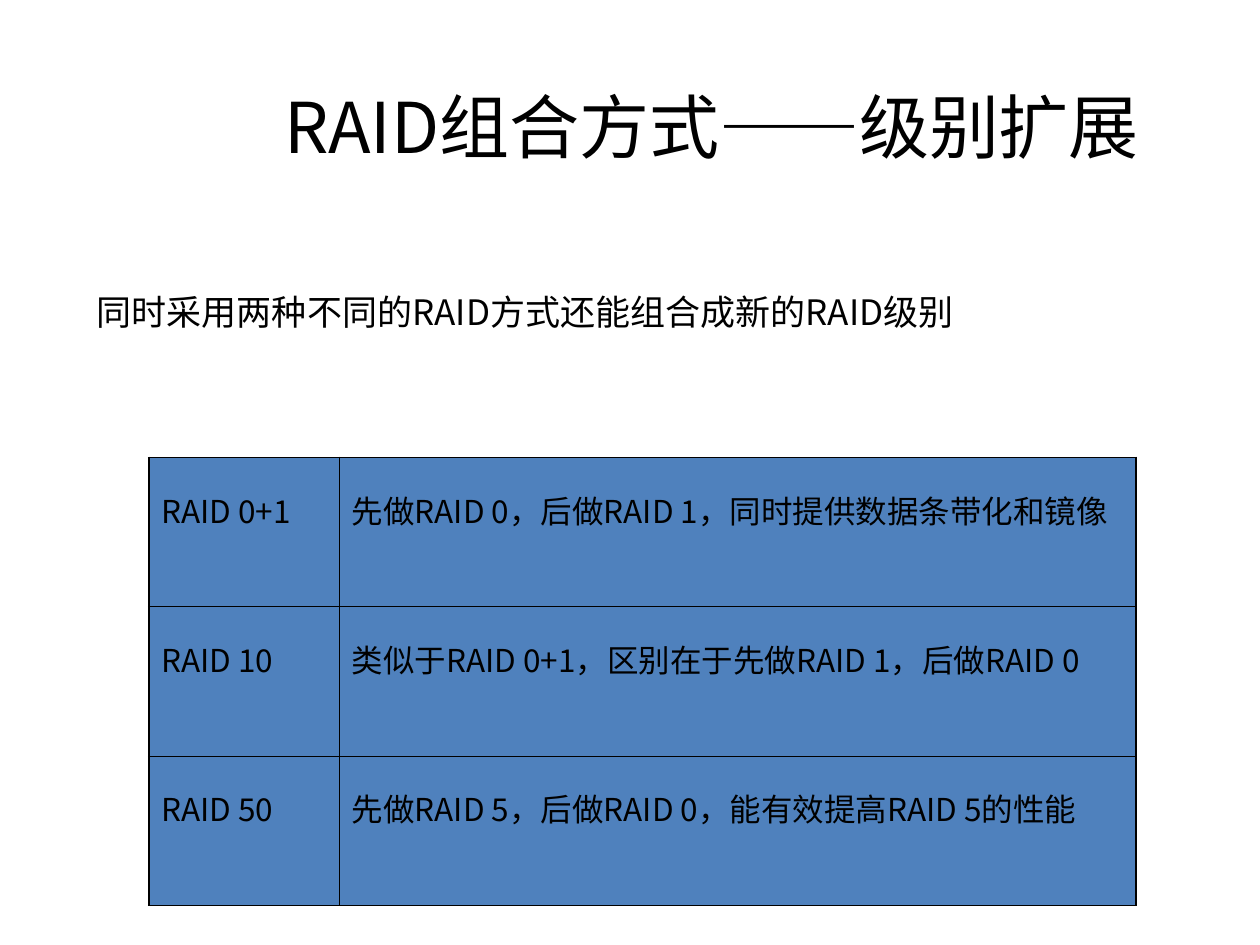
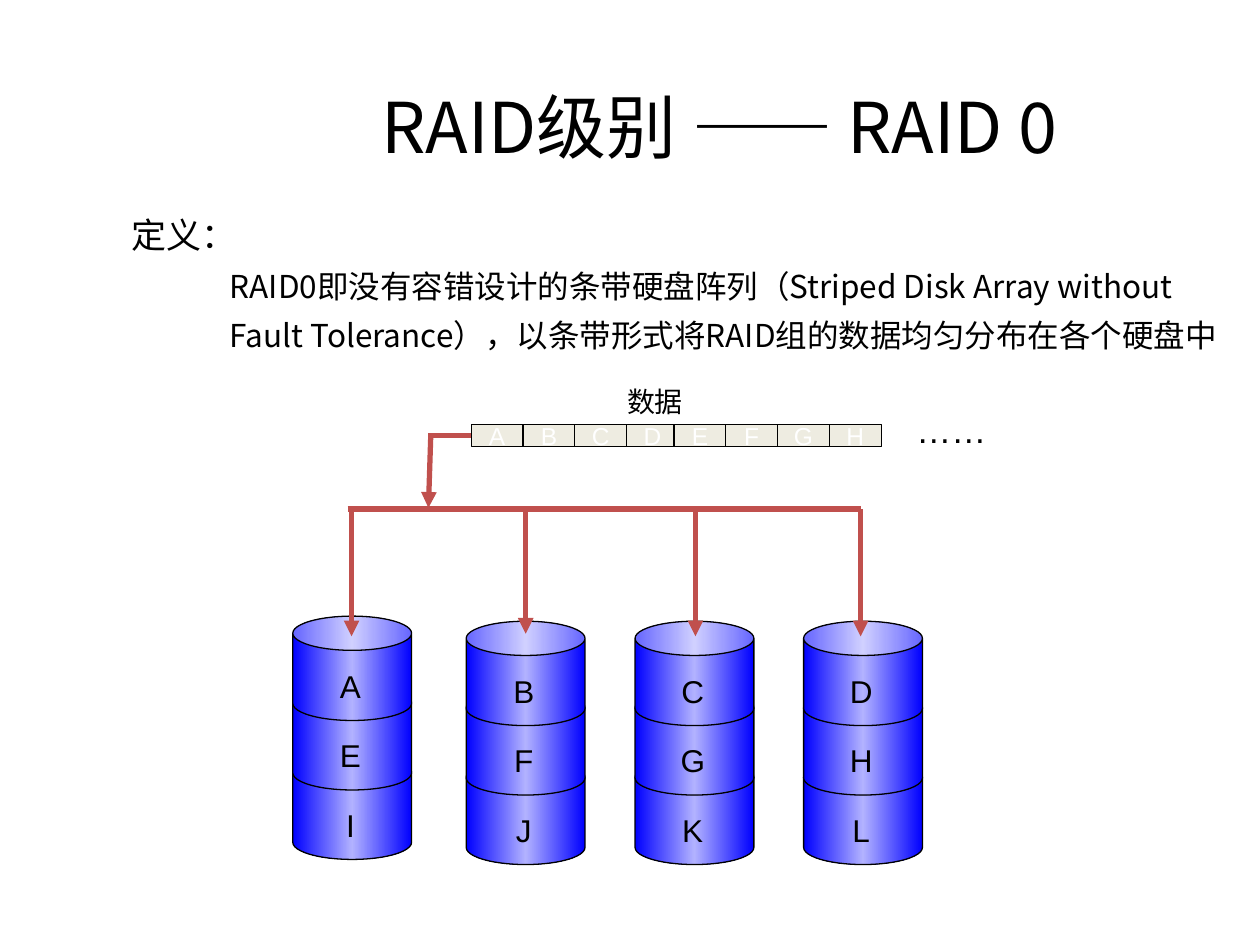
import copy
from dataclasses import dataclass

import pptx
import pptx.util
import pptx.dml.color
import pptx.enum.shapes
import pptx.enum.text
import pptx.oxml
import pptx.oxml.ns
import pptx.oxml.xmlchemy

Pt = pptx.util.Pt
qn = pptx.oxml.ns.qn
new_element = pptx.oxml.xmlchemy.OxmlElement
SHAPE = pptx.enum.shapes.MSO_SHAPE
ALIGN = pptx.enum.text.PP_ALIGN
ANCHOR = pptx.enum.text.MSO_ANCHOR
FIT = pptx.enum.text.MSO_AUTO_SIZE


@dataclass(frozen=True)
class Theme:
    cjk: str = "Noto Sans CJK SC"
    latin: str = "Arial"
    dash: str = "Calibri"
    ink: str = "000000"
    white: str = "FFFFFF"
    table_fill: str = "4F81BD"
    block_fill: str = "EEECE1"
    arrow: str = "C0504D"
    disk_edge: str = "0000FF"
    disk_shine: str = "B2B2FF"
    title: int = 40
    lead: int = 20
    body: int = 18
    caption: int = 16
    block: int = 14
    outer_border: float = 1.08
    inner_border: float = 0.45
    outline: float = 0.75
    arrow_width: float = 3


THEME = Theme()

# Content: combined levels
COMBINED_TITLE = ("RAID组合方式", "——", "级别扩展")
COMBINED_LEAD = "同时采用两种不同的RAID方式还能组合成新的RAID级别"
LEVELS = [
    ("RAID 0+1", "先做RAID 0，后做RAID 1，同时提供数据条带化和镜像"),
    ("RAID 10", "类似于RAID 0+1，区别在于先做RAID 1，后做RAID 0"),
    ("RAID 50", "先做RAID 5，后做RAID 0，能有效提高RAID 5的性能"),
]
LEVEL_COLUMNS = (108.9, 455.2)
LEVEL_ROWS = (72, 46.8, 56.9)

# Content: RAID 0
STRIPED_TITLE = ("RAID级别 ", "—— ", "RAID 0")
DEFINITION_HEAD = "定义："
DEFINITION = ("RAID0即没有容错设计的条带硬盘阵列（Striped Disk Array without "
              "Fault Tolerance），以条带形式将RAID组的数据均匀分布在各个硬盘中")
BLOCK_RUNS = [(269.3, "ABCD"), (385.2, "EFGH")]
# Each disk: left, top, x of its arrow, top of its arrow, stripes from the top
DISKS = [
    (167.3, 352.1, 200.9, 290.9, "AEI"),
    (266.4, 355, 300.4, 289.4, "BFJ"),
    (362.9, 355, 397.4, 290.9, "CGK"),
    (459.2, 355, 491.8, 290.9, "DHL"),
]
DISK_WIDTH, STRIPE_HEIGHT, STRIPE_PITCH = 67.9, 59.6, 39.7
LABEL_WIDTH, LABEL_HEIGHT, LABEL_DROP = 28, 29, 25.4
BLOCK_TOP, BLOCK_WIDTH, BLOCK_HEIGHT = 242.6, 29.6, 12.4
BUS_Y, ARROW_LENGTH = 290.9, 72.7


def rgb(value):
    return pptx.dml.color.RGBColor.from_string(value)


def write_text(frame, text, *, size, face=THEME.cjk, east=THEME.cjk,
               colour=THEME.ink, align=ALIGN.LEFT, spacing=None,
               margin=0, indent=0, level=0):
    """Add a paragraph; text is a string or a list of (string, face) spans."""
    para = frame.paragraphs[0]
    if para.runs:
        para = frame.add_paragraph()
    para.alignment, para.level = align, level
    if spacing:
        para.line_spacing = spacing
    if margin or indent:
        properties = para._p.get_or_add_pPr()
        properties.set("marL", str(Pt(margin)))
        properties.set("indent", str(Pt(indent)))
    for words, span_face in [(text, face)] if isinstance(text, str) else text:
        span = para.add_run()
        span.text = words
        span.font.size, span.font.name = Pt(size), span_face
        span.font.color.rgb = rgb(colour)
        east_font = new_element("a:ea")
        east_font.set("typeface", east)
        span.font._element.find(qn("a:latin")).addnext(east_font)


def add_box(parent, left, top, width, height, *, wrap=True, fit=FIT.NONE,
            anchor=ANCHOR.TOP):
    box = parent.add_textbox(Pt(left), Pt(top), Pt(width), Pt(height))
    frame = box.text_frame
    frame.word_wrap, frame.auto_size, frame.vertical_anchor = wrap, fit, anchor
    return frame


def add_title(page, words, right_inset):
    frame = add_box(page.shapes, 110.2, 49, 609.8, 45.4, anchor=ANCHOR.MIDDLE)
    frame.margin_right = Pt(right_inset)
    faces = (THEME.cjk, THEME.dash, THEME.cjk)
    write_text(frame, list(zip(words, faces)), size=THEME.title,
               align=ALIGN.CENTER)


def add_outlined(parent, kind, left, top, width, height):
    shape = parent.add_shape(kind, Pt(left), Pt(top), Pt(width), Pt(height))
    shape.shadow.inherit = False
    shape.line.color.rgb = rgb(THEME.ink)
    shape.line.width = Pt(THEME.outline)
    return shape


def add_line(page, start, end, arrow=False):
    line = page.shapes.add_connector(
        pptx.enum.shapes.MSO_CONNECTOR.STRAIGHT,
        *(Pt(value) for value in (*start, *end)))
    line.line.color.rgb = rgb(THEME.arrow)
    line.line.width = Pt(THEME.arrow_width)
    if arrow:
        tail = new_element("a:tailEnd")
        tail.set("type", "triangle")
        line.line._get_or_add_ln().append(tail)
    line._element.spPr.append(new_element("a:effectLst"))


def set_border(cell, side, width):
    border = pptx.oxml.parse_xml(
        f'<a:{side} {pptx.oxml.ns.nsdecls("a")} w="{Pt(width)}">'
        f'<a:solidFill><a:srgbClr val="{THEME.ink}"/></a:solidFill></a:{side}>')
    cell._tc.get_or_add_tcPr().append(border)


def add_level_table(page):
    table = page.shapes.add_table(
        len(LEVELS), len(LEVEL_COLUMNS), Pt(85), Pt(261.4),
        Pt(sum(LEVEL_COLUMNS)), Pt(sum(LEVEL_ROWS))).table
    table.first_row = table.horz_banding = False
    for column, width in zip(table.columns, LEVEL_COLUMNS):
        column.width = Pt(width)
    for row, height in zip(table.rows, LEVEL_ROWS):
        row.height = Pt(height)
    last_row, last_column = len(LEVELS) - 1, len(LEVEL_COLUMNS) - 1
    for r, texts in enumerate(LEVELS):
        for c, text in enumerate(texts):
            cell = table.cell(r, c)
            # Borders come before the fill in the cell properties
            edges = {"lnL": c == 0, "lnR": c == last_column,
                     "lnT": r == 0, "lnB": r == last_row}
            for side, outer in edges.items():
                set_border(cell, side, THEME.outer_border if outer
                           else THEME.inner_border)
            cell.fill.solid()
            cell.fill.fore_color.rgb = rgb(THEME.table_fill)
            write_text(cell.text_frame, text, size=THEME.body, spacing=1.5)


def fill_disk(shape):
    shape.fill.gradient()
    shape.fill.gradient_angle = 0
    stop_list = next(shape._element.spPr.iter(qn("a:gsLst")))
    stop_list.append(copy.deepcopy(stop_list[0]))
    colours = (THEME.disk_edge, THEME.disk_shine, THEME.disk_edge)
    for stop, position, colour in zip(shape.fill.gradient_stops,
                                      (0, 0.5, 1), colours):
        stop.position = position
        stop.color.rgb = rgb(colour)


def add_disk(page, left, top, stripes):
    disk = page.shapes.add_group_shape().shapes
    tops = [top + i * STRIPE_PITCH for i in range(len(stripes))]
    # Lower stripes first, so that each upper one covers the next
    for stripe_top in reversed(tops):
        stripe = add_outlined(disk, SHAPE.CAN, left, stripe_top,
                              DISK_WIDTH, STRIPE_HEIGHT)
        stripe.adjustments[0] = 0.328
        fill_disk(stripe)
    label_left = left + (DISK_WIDTH - LABEL_WIDTH) / 2 - 1
    for stripe_top, letter in zip(tops, stripes):
        frame = add_box(disk, label_left, stripe_top + LABEL_DROP,
                        LABEL_WIDTH, LABEL_HEIGHT, wrap=False,
                        fit=FIT.SHAPE_TO_FIT_TEXT)
        write_text(frame, letter, size=THEME.body, face=THEME.latin,
                   align=ALIGN.CENTER)


def add_data_strip(page):
    for start, letters in BLOCK_RUNS:
        for i, letter in enumerate(letters):
            block = add_outlined(page.shapes, SHAPE.RECTANGLE,
                                 start + i * BLOCK_WIDTH, BLOCK_TOP,
                                 BLOCK_WIDTH, BLOCK_HEIGHT)
            block.fill.solid()
            block.fill.fore_color.rgb = rgb(THEME.block_fill)
            block.text_frame.word_wrap = False
            block.text_frame.vertical_anchor = ANCHOR.MIDDLE
            write_text(block.text_frame, letter, size=THEME.block,
                       face=THEME.latin, colour=THEME.white,
                       align=ALIGN.CENTER)
    # Wide enough to hold the caption on one line
    caption = add_box(page.shapes, 349.3, 216, 50, 26.6, wrap=False)
    write_text(caption, "数据", size=THEME.caption, face=THEME.latin,
               align=ALIGN.CENTER)
    more = add_box(page.shapes, 512, 229.7, 63.4, 31.7,
                   fit=FIT.SHAPE_TO_FIT_TEXT)
    write_text(more, "……", size=THEME.lead, face=THEME.latin,
               east=THEME.latin, align=ALIGN.CENTER)


def build_combined(page):
    add_title(page, COMBINED_TITLE, 24)
    add_level_table(page)
    lead = add_box(page.shapes, 48.2, 162.3, 646.6, 31.7,
                   fit=FIT.SHAPE_TO_FIT_TEXT)
    write_text(lead, COMBINED_LEAD, size=THEME.lead)


def build_striped(page):
    add_title(page, STRIPED_TITLE, 15)
    for left, top, _, _, stripes in DISKS:
        add_disk(page, left, top, stripes)

    # Definition
    definition = add_box(page.shapes, 68, 111.4, 635, 127.4)
    write_text(definition, DEFINITION_HEAD, size=THEME.lead, face=THEME.latin,
               spacing=1.3, margin=27.4, indent=-27.4)
    write_text(definition, DEFINITION, size=THEME.body, spacing=1.3,
               margin=56.2, level=1)

    # Paths from the data strip to the disks
    for _, _, x, y, _ in DISKS:
        add_line(page, (x, y), (x, y + ARROW_LENGTH), arrow=True)
    add_line(page, (198.7, BUS_Y), (DISKS[-1][2], BUS_Y))
    add_data_strip(page)
    add_line(page, (244.8, 249), (BLOCK_RUNS[0][0], 249))
    add_line(page, (246.2, 247.7), (244.8, 290.2), arrow=True)


def main():
    deck = pptx.Presentation()
    deck.slide_width, deck.slide_height = Pt(720), Pt(540)
    for build in (build_combined, build_striped):
        build(deck.slides.add_slide(deck.slide_layouts[6]))
    deck.save("out.pptx")


if __name__ == "__main__":
    main()
